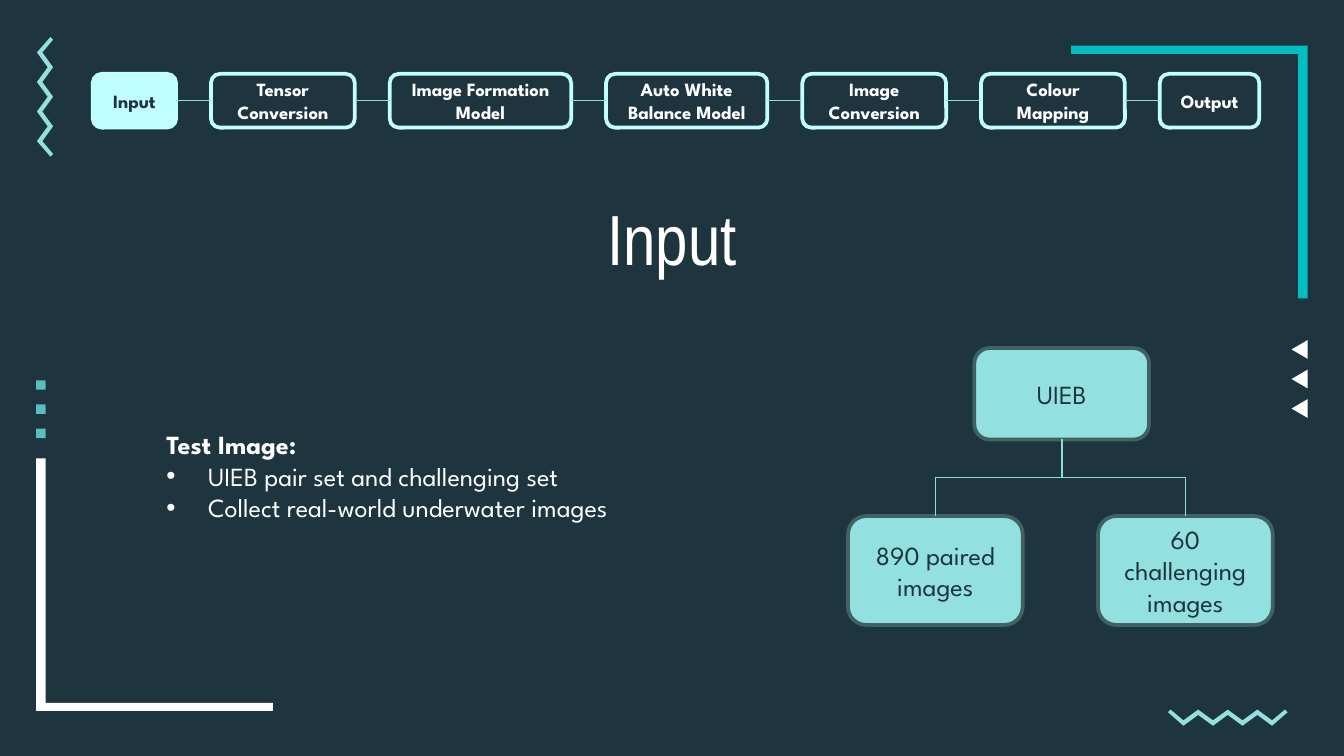
from dataclasses import dataclass

from lxml.etree import SubElement
from pptx import Presentation
from pptx.dml.color import RGBColor
from pptx.enum.shapes import MSO_CONNECTOR, MSO_SHAPE
from pptx.enum.text import MSO_ANCHOR, MSO_AUTO_SIZE, PP_ALIGN
from pptx.oxml.ns import qn
from pptx.util import Inches, Pt


@dataclass(frozen=True)
class Theme:
    night: str = "1E343F"
    white: str = "FFFFFF"
    ice: str = "C0FEFF"
    aqua: str = "92E0E0"
    link: str = "8DDDDD"
    sea: str = "58BEBF"
    teal: str = "01BEC0"
    moss: str = "406262"
    title_font: str = "Arial Narrow"
    body_font: str = "League Spartan"
    title_size: int = 38
    body_size: int = 14
    step_size: int = 10
    border: float = 2
    link_width: float = 0.75


THEME = Theme()


def rgb(colour):
    return RGBColor.from_string(colour)


def paint(shape, fill=None, line=None):
    shape.shadow.inherit = False
    if fill:
        shape.fill.solid()
        shape.fill.fore_color.rgb = rgb(fill)
    else:
        shape.fill.background()
    if line:
        shape.line.color.rgb = rgb(line)
        shape.line.width = Pt(THEME.border)
    else:
        shape.line.fill.background()


def add_text(paragraph, text, size, colour, bold=False, font=THEME.body_font):
    run = paragraph.add_run()
    run.text = text
    run.font.name = font
    run.font.size = Pt(size)
    run.font.bold = bold
    run.font.color.rgb = rgb(colour)


def add_preset(slide, kind, box, fill=None, line=None):
    shape = slide.shapes.add_shape(kind, *map(Inches, box))
    paint(shape, fill, line)
    return shape


def add_outline(slide, points, fill):
    corners = [(Inches(x), Inches(y)) for x, y in points]
    builder = slide.shapes.build_freeform(*corners[0])
    builder.add_line_segments(corners[1:], close=True)
    outline = builder.convert_to_shape()
    paint(outline, fill)
    return outline


def add_card(slide, box, text, size, ink, fill, line, bold=False):
    card = add_preset(slide, MSO_SHAPE.ROUNDED_RECTANGLE, box, fill, line)
    frame = card.text_frame
    frame.word_wrap = True
    frame.vertical_anchor = MSO_ANCHOR.MIDDLE
    frame.paragraphs[0].alignment = PP_ALIGN.CENTER
    add_text(frame.paragraphs[0], text, size, ink, bold)
    return card


def join(slide, kind, start, start_side, end, end_side):
    connector = slide.shapes.add_connector(kind, 0, 0, 0, 0)
    connector.begin_connect(start, start_side)
    connector.end_connect(end, end_side)
    connector.line.color.rgb = rgb(THEME.link)
    connector.line.width = Pt(THEME.link_width)
    SubElement(connector._element.spPr, qn("a:effectLst"))
    return connector


def add_zigzag(slide, box, rotation=0):
    left, top, width, height = box
    pitch = 0.11
    middle = left + width / 2
    inner = [(middle + k * pitch, top + (0.08 if k % 2 else 0)) for k in range(-3, 4)]
    thickness = height - 0.08
    upper = [(left + 0.02, top), *inner, (left + width - 0.02, top)]
    lower = [(left, top + 0.02), *((x, y + thickness) for x, y in inner),
             (left + width, top + 0.02)]
    add_outline(slide, upper + lower[::-1], THEME.aqua).rotation = rotation


def add_corner(slide, box, fill, upper_right):
    left, top, width, height = box
    across, down = 0.06, 0.07
    points = [(0, 0), (0, across), (width - down, across),
              (width - down, height), (width, height), (width, 0)]
    if not upper_right:
        points = [(width - x, height - y) for x, y in points]
    add_outline(slide, [(left + x, top + y) for x, y in points], fill)


def add_column(slide, box, kind, pitch, fill, rotation=0):
    left, top, width, height = box
    for row in range(3):
        mark = add_preset(slide, kind, (left, top + row * pitch, width, height), fill)
        mark.rotation = rotation


def add_decoration(slide):
    add_zigzag(slide, (8.69, 5.28, 0.89, 0.12))
    add_zigzag(slide, (-0.11, 0.66, 0.89, 0.12), 90)
    add_column(slide, (9.6, 2.54, 0.14, 0.12), MSO_SHAPE.ISOSCELES_TRIANGLE,
               0.22, THEME.white, 270)
    add_column(slide, (0.27, 2.83, 0.07, 0.07), MSO_SHAPE.RECTANGLE, 0.18, THEME.sea)
    add_corner(slide, (7.97, 0.34, 1.76, 1.88), THEME.teal, True)
    add_corner(slide, (0.27, 3.41, 1.76, 1.88), THEME.white, False)


def add_title(slide, box):
    title = slide.shapes.title
    title.left, title.top, title.width, title.height = map(Inches, box)
    frame = title.text_frame
    frame.auto_size = MSO_AUTO_SIZE.NONE
    frame.vertical_anchor = MSO_ANCHOR.TOP
    frame.margin_top = frame.margin_bottom = Inches(0.05)
    frame.paragraphs[0].alignment = PP_ALIGN.CENTER
    add_text(frame.paragraphs[0], "Input", THEME.title_size, THEME.white,
             font=THEME.title_font)


def add_pipeline(slide, box, steps, current):
    left, top, width, height = box
    gap = (width - sum(size for _, size in steps)) / (len(steps) - 1)
    cards = []
    for name, step_width in steps:
        active = name == current
        cards.append(add_card(
            slide, (left, top, step_width, height), name, THEME.step_size,
            THEME.night if active else THEME.white,
            THEME.ice if active else None, THEME.ice, True))
        left += step_width + gap
    for before, after in zip(cards, cards[1:]):
        join(slide, MSO_CONNECTOR.STRAIGHT, before, 3, after, 1)


def add_notes_list(slide, box, heading, items):
    frame = slide.shapes.add_textbox(*map(Inches, box)).text_frame
    frame.word_wrap = False
    frame.auto_size = MSO_AUTO_SIZE.SHAPE_TO_FIT_TEXT
    add_text(frame.paragraphs[0], heading, THEME.body_size, THEME.white, True)
    for item in items:
        paragraph = frame.add_paragraph()
        properties = paragraph._p.get_or_add_pPr()
        properties.set("marL", str(Inches(0.31)))
        properties.set("indent", str(-Inches(0.31)))
        bullet_colour = SubElement(properties, qn("a:buClr"))
        SubElement(bullet_colour, qn("a:srgbClr")).set("val", THEME.white)
        SubElement(properties, qn("a:buFont")).set("typeface", "Arial")
        SubElement(properties, qn("a:buChar")).set("char", "•")
        add_text(paragraph, item, THEME.body_size, THEME.white)


def join_branch(slide, parent, child):
    branch = join(slide, MSO_CONNECTOR.ELBOW, parent, 2, child, 0)
    left, top, width, height = branch.left, branch.top, branch.width, branch.height
    branch.left = left + (width - height) // 2
    branch.top = top + (height - width) // 2
    branch.width, branch.height = height, width
    rightward = child.left > parent.left
    frame = branch._element.spPr.find(qn("a:xfrm"))
    frame.set("rot", str((270 if rightward else 90) * 60000))
    frame.set("flipH", "1" if rightward else "0")


def add_dataset_tree(slide, box, root, leaves):
    left, top, width, height = box
    card_width, root_height, leaf_height = 1.3, 0.68, 0.81
    style = (THEME.body_size, THEME.night, THEME.aqua, THEME.moss)
    parent = add_card(slide, (left + 0.94, top, card_width, root_height), root, *style)
    pitch = (width - card_width) / (len(leaves) - 1)
    for index, leaf in enumerate(leaves):
        leaf_box = (left + index * pitch, top + height - leaf_height,
                    card_width, leaf_height)
        join_branch(slide, parent, add_card(slide, leaf_box, leaf, *style))


def main():
    deck = Presentation()
    deck.slide_width = Inches(10)
    deck.slide_height = deck.slide_width * 9 // 16
    slide = deck.slides.add_slide(deck.slide_layouts[5])
    slide.background.fill.solid()
    slide.background.fill.fore_color.rgb = rgb(THEME.night)
    add_decoration(slide)
    add_title(slide, (0.78, 1.4, 8.44, 0.68))
    steps = [("Input", 0.62), ("Tensor Conversion", 1.07),
             ("Image Formation Model", 1.35), ("Auto White Balance Model", 1.2),
             ("Image Conversion", 1.07), ("Colour Mapping", 1.07), ("Output", 0.74)]
    add_pipeline(slide, (0.69, 0.55, 8.68, 0.4), steps, "Input")
    add_notes_list(slide, (1.14, 3.14, 3.88, 0.81), "Test Image:",
                   ["UIEB pair set and challenging set",
                    "Collect real-world underwater images"])
    add_dataset_tree(slide, (6.31, 2.59, 3.16, 2.06), "UIEB",
                     ["890 paired images", "60 challenging images"])
    deck.save("out.pptx")


if __name__ == "__main__":
    main()
